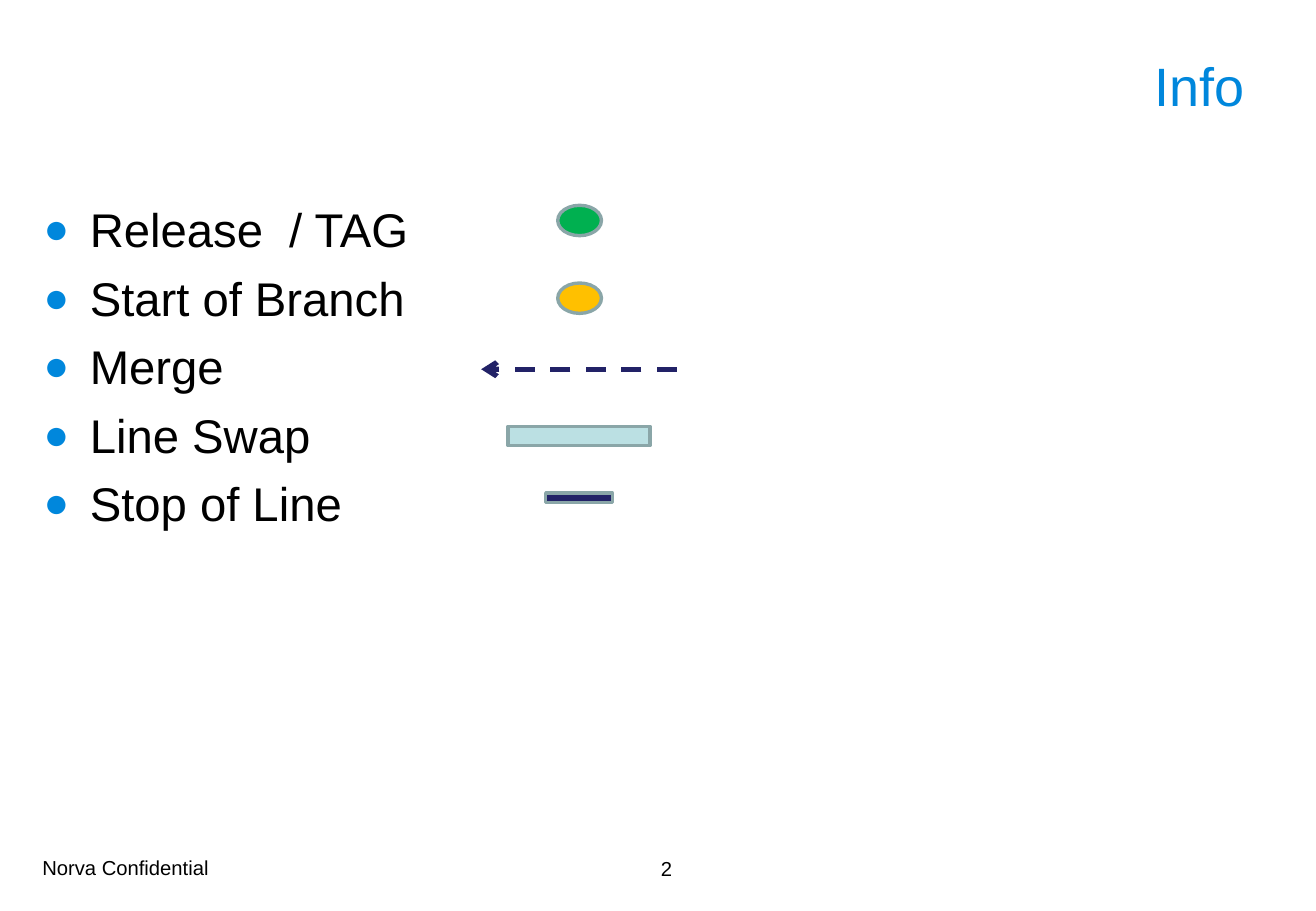
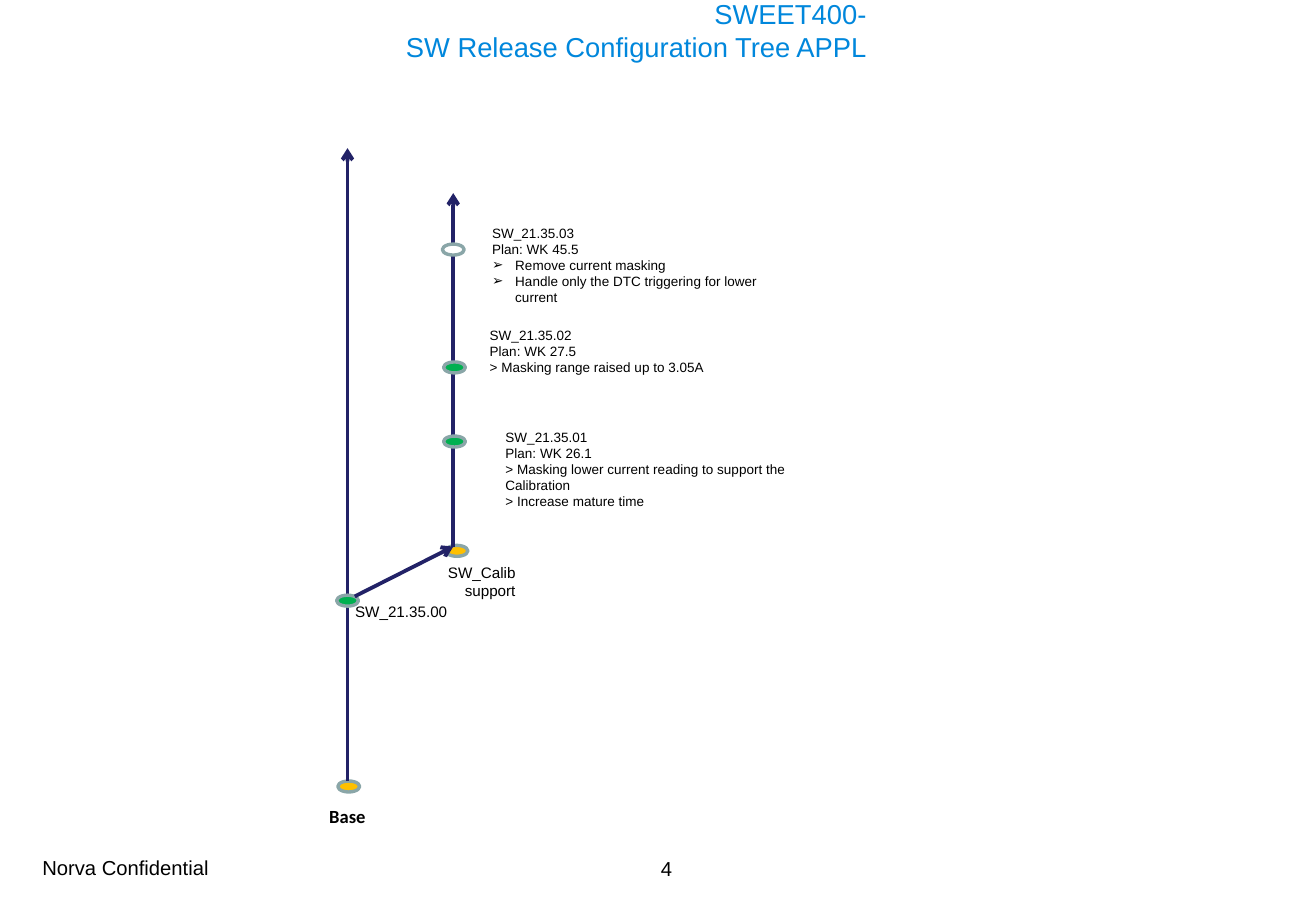
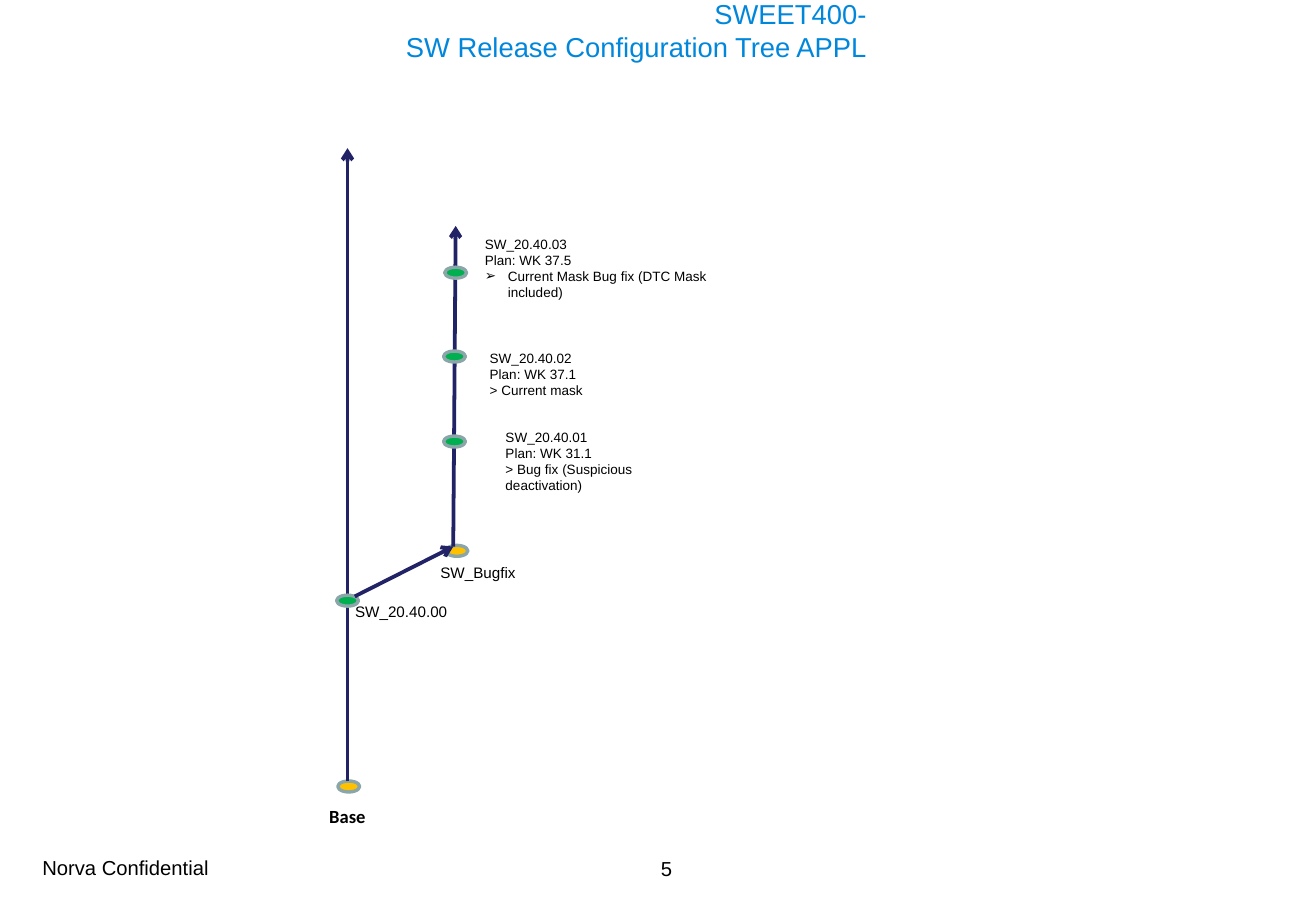
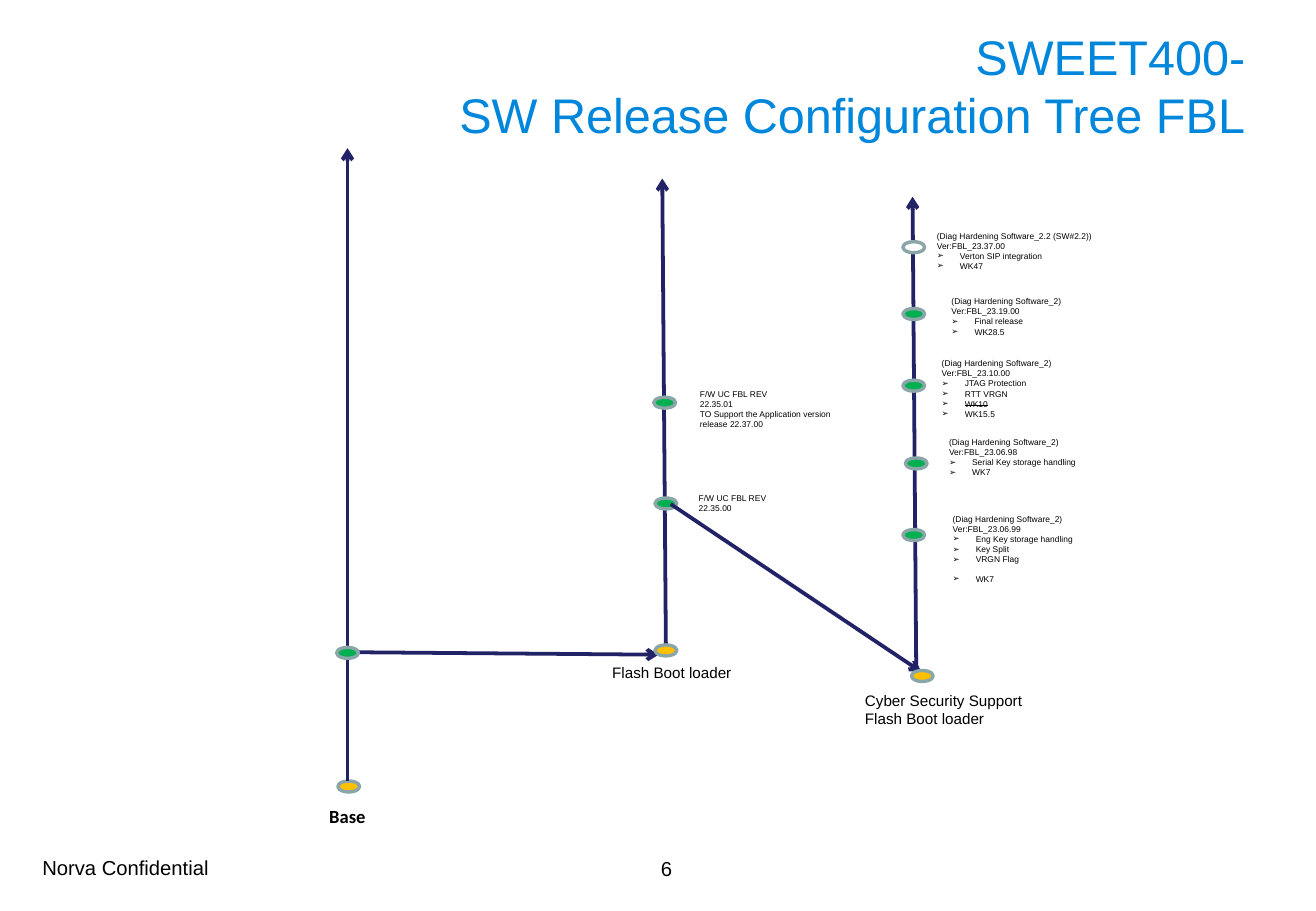
from lxml import etree
from pptx import Presentation
from pptx.dml.color import RGBColor
from pptx.enum.dml import MSO_LINE
from pptx.enum.shapes import MSO_CONNECTOR, MSO_SHAPE as Shape
from pptx.enum.text import MSO_ANCHOR as Anchor, MSO_AUTO_SIZE as AutoSize, PP_ALIGN as Align
from pptx.oxml.ns import qn
from pptx.util import Inches, Pt

BLUE, NAVY, BLACK, WHITE = "0087DC", "222267", "000000", "FFFFFF"
GREEN, AMBER, OUTLINE, PALE = "00B050", "FFC000", "8AA6A8", "BBE0E3"
TITLE_ONLY, TITLE_AND_BODY = 5, 1
APP_TITLE_BOX = (2.28, -0.07, 4.95, 0.63)
LABEL_INSETS, NOTE_INSETS = (0.1, 0.05), (0.11, 0.06)


def rgb(value):
    return RGBColor.from_string(value)


def inches(values):
    return [Inches(value) for value in values]


def add_bullet(paragraph, char, indent, color=None, percent=None):
    """Give the paragraph a bullet with a hanging indent in inches."""
    props = paragraph._p.get_or_add_pPr()
    props.set("marL", str(Inches(indent)))
    props.set("indent", str(-Inches(indent)))
    if color:
        holder = etree.SubElement(props, qn("a:buClr"))
        etree.SubElement(holder, qn("a:srgbClr"), val=color)
    if percent:
        etree.SubElement(props, qn("a:buSzPct"), val=str(percent * 1000))
    etree.SubElement(props, qn("a:buFont"), typeface="Arial")
    etree.SubElement(props, qn("a:buChar"), char=char)


def write(frame, text, size=9, color=BLACK, font="Arial", bold=False,
          align=Align.LEFT, strike=False, bullet=None, before=0):
    """Add one paragraph; bullet holds the arguments of add_bullet."""
    first = frame.paragraphs[0]
    paragraph = frame.add_paragraph() if first.runs else first
    if bullet:
        add_bullet(paragraph, *bullet)
    paragraph.alignment = align
    paragraph.space_before = Pt(before)
    run = paragraph.add_run()
    run.text = text
    run.font.size, run.font.name, run.font.bold = Pt(size), font, bold
    run.font.color.rgb = rgb(color)
    if strike:
        run._r.get_or_add_rPr().set("strike", "sngStrike")


class Deck:
    ARROW_BULLET = ("➢", 0.19)
    DOT_BULLET = ("●", 0.38, BLUE, 90)

    def __init__(self):
        self.file = Presentation()
        self.file.slide_width, self.file.slide_height = inches((10.83, 7.5))
        self.slide = None

    def start(self, number, title_lines, title_box, title_size, layout=TITLE_ONLY):
        self.slide = self.file.slides.add_slide(self.file.slide_layouts[layout])
        title = self.placed(self.slide.shapes.title, title_box, Anchor.MIDDLE)
        for line in title_lines:
            write(title, line, size=title_size, color=BLUE, align=Align.RIGHT)
        footer = self.text_box((0.25, 6.95, 1.96, 0.39), anchor=Anchor.MIDDLE)
        write(footer, "Norva Confidential", size=12)
        page = self.text_box((4.22, 6.95, 2.53, 0.4), anchor=Anchor.MIDDLE)
        write(page, str(number), size=12, align=Align.CENTER)

    def placed(self, placeholder, box, anchor):
        (placeholder.left, placeholder.top,
         placeholder.width, placeholder.height) = inches(box)
        frame = placeholder.text_frame
        frame.auto_size, frame.vertical_anchor = AutoSize.NONE, anchor
        return frame

    def bullets(self, box, items):
        body = self.placed(self.slide.placeholders[1], box, Anchor.TOP)
        for index, item in enumerate(items):
            write(body, item, size=28, bullet=self.DOT_BULLET, before=7 if index else 0)

    def text_box(self, box, insets=LABEL_INSETS, anchor=Anchor.TOP):
        frame = self.slide.shapes.add_textbox(*inches(box)).text_frame
        frame.word_wrap, frame.vertical_anchor = True, anchor
        frame.margin_left = frame.margin_right = Inches(insets[0])
        frame.margin_top = frame.margin_bottom = Inches(insets[1])
        return frame

    def label(self, box, text, insets=LABEL_INSETS, **style):
        frame = self.text_box(box, insets)
        frame.auto_size = AutoSize.SHAPE_TO_FIT_TEXT
        write(frame, text, **style)

    def note(self, box, lines, steps=(), size=8, struck=None, spaced=None):
        """Release note: plain lines, then bulleted steps; spaced opens a gap above a step."""
        frame = self.text_box(box, NOTE_INSETS)
        frame.auto_size = AutoSize.SHAPE_TO_FIT_TEXT
        for line in lines:
            write(frame, line, size=size)
        for step in steps:
            write(frame, step, size=size, bullet=self.ARROW_BULLET,
                  strike=step == struck, before=size * 1.15 if step == spaced else 0)

    def shape(self, kind, box, fill):
        shape = self.slide.shapes.add_shape(kind, *inches(box))
        shape.shadow.inherit = False
        shape.fill.solid()
        shape.fill.fore_color.rgb = rgb(fill)
        shape.line.color.rgb = rgb(OUTLINE)
        shape.line.width = Pt(2)

    def node(self, left, top, fill=GREEN, size=(0.18, 0.09)):
        self.shape(Shape.FLOWCHART_CONNECTOR, (left, top, *size), fill)

    def arrow(self, start, end, width=2.25, dashed=False):
        arrow = self.slide.shapes.add_connector(
            MSO_CONNECTOR.STRAIGHT, *inches(start), *inches(end))
        arrow.line.color.rgb = rgb(NAVY)
        arrow.line.width = Pt(width)
        if dashed:
            arrow.line.dash_style = MSO_LINE.DASH
        props = arrow._element.spPr
        etree.SubElement(props.find(qn("a:ln")), qn("a:tailEnd"), type="arrow")
        etree.SubElement(props, qn("a:effectLst"))

    def trunk(self):
        self.node(2.78, 6.43, AMBER)
        self.label((2.56, 6.57, 0.6, 0.46), "Base", NOTE_INSETS, size=11,
                   font="Calibri", bold=True, align=Align.CENTER)
        self.arrow((2.86, 6.43), (2.86, 1.22))


def legend(deck):
    deck.start(2, ["Info"], (2.53, 0.23, 7.81, 0.94), 32, TITLE_AND_BODY)
    deck.bullets((0.26, 1.6, 10.08, 4.86),
                 ["Release  / TAG", "Start of Branch", "Merge", "Line Swap", "Stop of Line"])
    for top, fill in ((1.69, GREEN), (2.33, AMBER)):
        deck.node(4.59, top, fill, size=(0.36, 0.25))
    deck.arrow((5.57, 3.04), (3.96, 3.04), width=3, dashed=True)
    deck.shape(Shape.RECTANGLE, (4.18, 3.51, 1.17, 0.16), PALE)
    deck.shape(Shape.RECTANGLE, (4.49, 4.06, 0.55, 0.08), NAVY)


def application_tree(deck, number, release, branch, branch_height, branch_tip, versions):
    """Draw the trunk, one side branch and its versions (node, note box, lines, steps)."""
    deck.start(number, ["SWEET400-", "SW Release Configuration Tree APPL"],
               APP_TITLE_BOX, 16.2)
    deck.trunk()
    deck.node(2.77, 4.9)
    deck.node(3.67, 4.49, AMBER)
    fork = (3.73, 4.5)
    deck.arrow((2.92, 4.91), fork)
    deck.arrow(fork, branch_tip)
    deck.label((3.22, 4.59, 1.12, branch_height), branch, align=Align.RIGHT)
    deck.label((2.76, 4.9, 1.03, 0.26), release, NOTE_INSETS, align=Align.RIGHT)
    for node, box, lines, steps in versions:
        deck.node(*node)
        deck.note(box, lines, steps)


def boot_loader_tree(deck):
    deck.start(6, ["SWEET400-", "SW Release Configuration Tree FBL"],
               (2.54, 0.23, 7.81, 0.94), 28.8)
    deck.trunk()
    deck.arrow((2.92, 5.37), (5.42, 5.39))
    deck.node(2.77, 5.33)

    deck.arrow((5.48, 5.32), (5.45, 1.47))
    deck.node(5.39, 5.31, AMBER)
    deck.label((4.94, 5.41, 1.5, 0.25), "Flash Boot loader")
    deck.node(5.38, 3.27)
    deck.node(5.39, 4.1)
    firmware = "F/W UC FBL REV"
    deck.note((5.64, 4, 1.52, 0.28), [firmware, "22.35.00"], size=5)
    deck.note((5.65, 3.14, 1.52, 0.45),
              [firmware, "22.35.01", "TO Support the Application version release 22.37.00"],
              size=5)

    deck.arrow((5.52, 4.15), (7.58, 5.53))
    deck.arrow((7.54, 5.47), (7.51, 1.62))
    deck.node(7.5, 5.52, AMBER)
    deck.label((7.02, 5.64, 1.5, 0.4), "Cyber Security Support Flash Boot loader")
    hardening = "(Diag Hardening Software_2)"
    versions = [
        ((7.43, 4.36), (7.73, 4.17, 0.7), hardening, "23.06.99",
         ["Eng Key storage handling", "Key Split", "VRGN Flag", "WK7"], {"spaced": "WK7"}),
        ((7.45, 3.77), (7.7, 3.54, 0.45), hardening, "23.06.98",
         ["Serial Key storage handling", "WK7"], {}),
        ((7.43, 3.13), (7.64, 2.89, 0.62), hardening, "23.10.00",
         ["JTAG Protection", "RTT VRGN", "WK10", "WK15.5"], {"struck": "WK10"}),
        ((7.43, 2.54), (7.72, 2.38, 0.45), hardening, "23.19.00",
         ["Final release", "WK28.5"], {}),
        ((7.43, 1.99, WHITE), (7.6, 1.84, 0.53),
         "(Diag Hardening Software_2.2 (SW#2.2))", "23.37.00",
         ["Verton SIP integration", "WK47"], {}),
    ]
    for node, (left, top, height), software, version, steps, extras in versions:
        deck.node(*node)
        deck.note((left, top, 1.52, height), [software, f"Ver:FBL_{version}"],
                  steps, size=5, **extras)


def main():
    deck = Deck()
    legend(deck)
    application_tree(deck, 4, "SW_21.35.00", "SW_Calib support", 0.4, (3.73, 1.59), [
        ((3.65, 3.59), (4.05, 3.47, 2.7, 0.87),
         ["SW_21.35.01", "Plan: WK 26.1",
          "> Masking lower current reading to support the Calibration",
          "> Increase mature time"], []),
        ((3.65, 2.98), (3.92, 2.63, 2.52, 0.6),
         ["SW_21.35.02", "Plan: WK 27.5", "> Masking range raised up to 3.05A"], []),
        ((3.64, 2.01, WHITE), (3.94, 1.79, 2.42, 0.87),
         ["SW_21.35.03", "Plan: WK 45.5"],
         ["Remove current masking", "Handle only the DTC triggering for lower current"]),
    ])
    application_tree(deck, 5, "SW_20.40.00", "SW_Bugfix", 0.25, (3.75, 1.86), [
        ((3.65, 3.59), (4.05, 3.47, 1.61, 0.73),
         ["SW_20.40.01", "Plan: WK 31.1", "> Bug fix (Suspicious deactivation)"], []),
        ((3.65, 2.89), (3.92, 2.82, 2.15, 0.6),
         ["SW_20.40.02", "Plan: WK 37.1", "> Current mask"], []),
        ((3.66, 2.2), (3.88, 1.88, 2.41, 0.87),
         ["SW_20.40.03", "Plan: WK 37.5"], ["Current Mask Bug fix (DTC Mask included)"]),
    ])
    boot_loader_tree(deck)
    deck.file.save("out.pptx")


if __name__ == "__main__":
    main()
